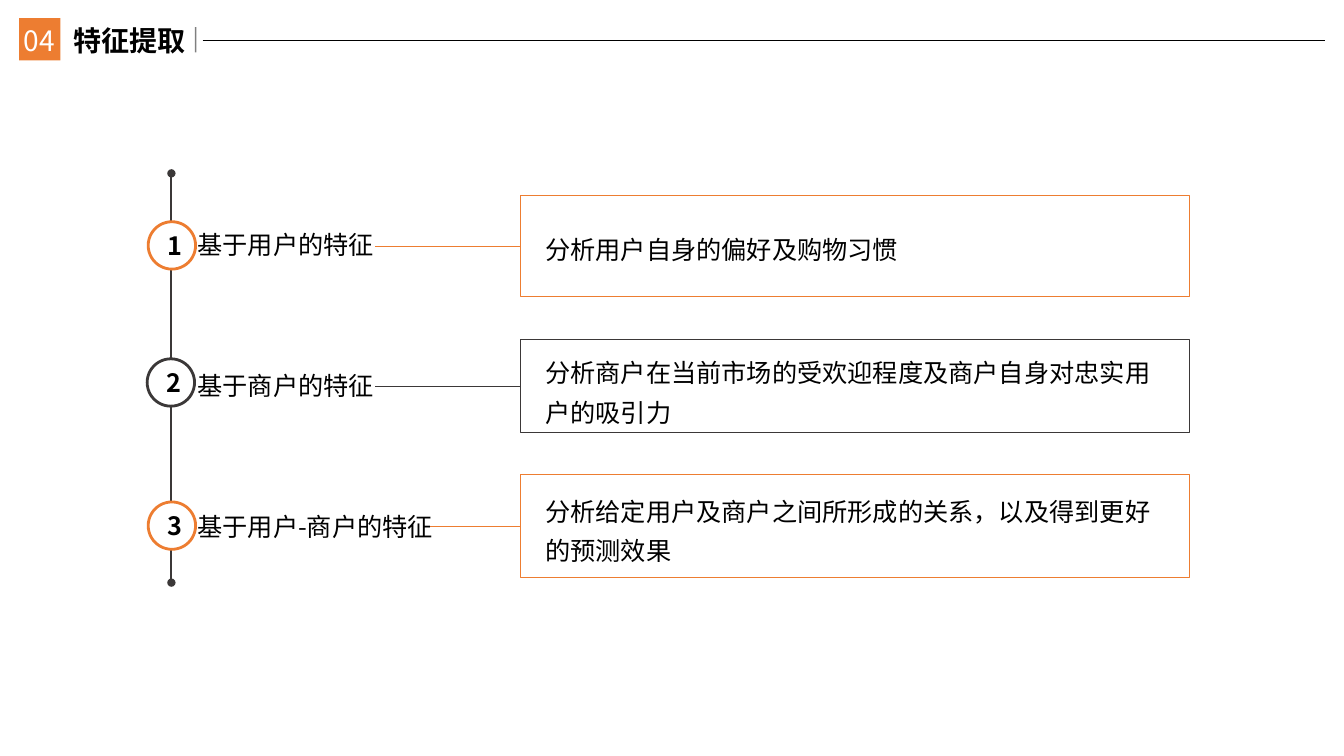
from lxml import etree
from pptx import Presentation
from pptx.dml.color import RGBColor
from pptx.enum.shapes import MSO_CONNECTOR, MSO_SHAPE
from pptx.enum.text import MSO_ANCHOR, MSO_AUTO_SIZE, PP_ALIGN
from pptx.oxml.ns import qn
from pptx.util import Inches, Pt

RECTANGLE, OVAL = MSO_SHAPE.RECTANGLE, MSO_SHAPE.OVAL
STRAIGHT = MSO_CONNECTOR.STRAIGHT
TOP, MIDDLE = MSO_ANCHOR.TOP, MSO_ANCHOR.MIDDLE
LEFT, CENTER = PP_ALIGN.LEFT, PP_ALIGN.CENTER
GROW = MSO_AUTO_SIZE.SHAPE_TO_FIT_TEXT
FONT = "Noto Sans CJK SC"
ORANGE, DARK, BLACK, WHITE = "ED7D31", "3B3838", "000000", "FFFFFF"

deck = Presentation()
deck.slide_width = Inches(13.33)
deck.slide_height = Inches(7.5)
page = deck.slides.add_slide(deck.slide_layouts[6])


def paint(color_format, color):
    color_format.rgb = RGBColor.from_string(color)


def write(box, text, size=18, color=BLACK, bold=False, align=LEFT, anchor=MIDDLE, spacing=None):
    frame = box.text_frame
    frame.word_wrap = True
    frame.vertical_anchor = anchor
    para = frame.paragraphs[0]
    para.text = text
    para.alignment = align
    para.line_spacing = spacing
    para.font.size = Pt(size)
    para.font.bold = bold
    para.font.name = FONT
    paint(para.font.color, color)
    etree.SubElement(para.font._rPr, qn("a:ea"), typeface=FONT)
    return frame


badge = page.shapes.add_shape(RECTANGLE, Inches(0.19), Inches(0.18), Inches(0.41), Inches(0.42))
badge.shadow.inherit = False
badge.fill.solid()
paint(badge.fill.fore_color, ORANGE)
badge.line.fill.background()

number_box = page.shapes.add_textbox(Inches(0), Inches(0.18), Inches(0.78), Inches(0.44))
write(number_box, "04", size=20, color=WHITE, align=CENTER).auto_size = GROW
title_box = page.shapes.add_textbox(Inches(0.63), Inches(0.18), Inches(1.38), Inches(0.44))
write(title_box, "特征提取", size=20, bold=True).auto_size = GROW

lines = {}
for role, x1, y1, x2, y2, color, width in [
    ("header rule", 2.01, 0.4, 13.14, 0.4, BLACK, 0.5),
    ("title divider", 1.94, 0.27, 1.94, 0.52, BLACK, 1),
    ("timeline", 1.7, 1.72, 1.7, 5.78, DARK, 1.5),
    (1, 3.72, 2.44, 5.16, 2.44, ORANGE, 0.5),
    (2, 3.72, 3.83, 5.16, 3.83, DARK, 0.5),
    (3, 4.23, 5.22, 5.16, 5.22, ORANGE, 0.5),
]:
    line = page.shapes.add_connector(STRAIGHT, Inches(x1), Inches(y1), Inches(x2), Inches(y2))
    line.line.width = Pt(width)
    paint(line.line.color, color)
    etree.SubElement(line._element.spPr, qn("a:effectLst"))
    lines[role] = line

divider_color = lines["title divider"]._element.spPr.find(".//" + qn("a:srgbClr"))
etree.SubElement(divider_color, qn("a:alpha"), val="49000")
timeline_outline = lines["timeline"].line._get_or_add_ln()
for end in ("a:headEnd", "a:tailEnd"):
    etree.SubElement(timeline_outline, qn(end), type="oval")

features = [
    ("基于用户的特征", 2.07, 2.23, 1.47, 2.2, 1.94, 1, 2.19, 0.46, ORANGE,
     "分析用户自身的偏好及购物习惯"),
    ("基于商户的特征", 2.07, 3.62, 1.46, 3.56, 3.37, 0.92, 3.41, 0.85, DARK,
     "分析商户在当前市场的受欢迎程度及商户自身对忠实用户的吸引力"),
    ("基于用户-商户的特征", 2.76, 5.02, 1.47, 4.98, 4.71, 1.02, 4.78, 0.85, ORANGE,
     "分析给定用户及商户之间所形成的关系，以及得到更好的预测效果"),
]
for number, (label, label_width, label_top, circle_left, circle_top, panel_top, panel_height,
             detail_top, detail_height, color, detail) in enumerate(features, 1):
    circle = page.shapes.add_shape(
        OVAL, Inches(circle_left), Inches(circle_top), Inches(0.47), Inches(0.47))
    panel = page.shapes.add_shape(
        RECTANGLE, Inches(5.16), Inches(panel_top), Inches(6.64), Inches(panel_height))
    for shape, width in ((circle, 2), (panel, 0.5)):
        shape.shadow.inherit = False
        shape.fill.solid()
        paint(shape.fill.fore_color, WHITE)
        shape.line.width = Pt(width)
        paint(shape.line.color, color)
    if number > 1:
        panel.fill.background()
    write(circle, str(number), bold=True, align=CENTER).margin_left = Inches(0.12)
    lines[number].end_connect(panel, 1)

    label_box = page.shapes.add_textbox(
        Inches(1.86), Inches(label_top), Inches(label_width), Inches(0.4))
    write(label_box, label).auto_size = GROW
    detail_box = page.shapes.add_textbox(
        Inches(5.31), Inches(detail_top), Inches(6.33), Inches(detail_height))
    write(detail_box, detail, anchor=TOP, spacing=1.3).auto_size = GROW

deck.save("out.pptx")
